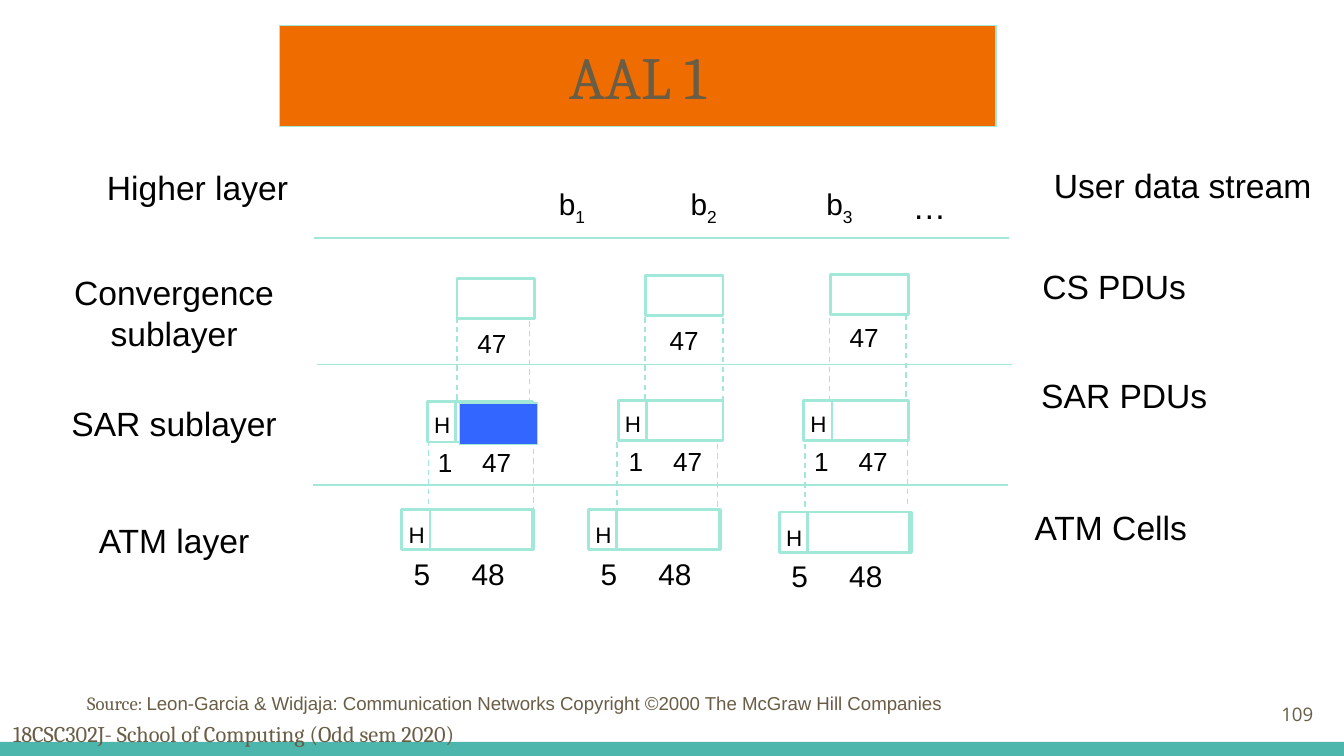
"""Build the AAL 1 slide: how user data passes through the ATM adaptation layers."""
from lxml import etree
from pptx import Presentation
from pptx.dml.color import RGBColor
from pptx.enum.dml import MSO_LINE
from pptx.enum.shapes import MSO_CONNECTOR, MSO_SHAPE
from pptx.enum.text import MSO_ANCHOR, MSO_AUTO_SIZE, PP_ALIGN
from pptx.oxml.ns import qn
from pptx.util import Pt

SCALE = 9144
WIDTH = 1000
LEFT, CENTER, RIGHT = PP_ALIGN.LEFT, PP_ALIGN.CENTER, PP_ALIGN.RIGHT
TOP, MIDDLE = MSO_ANCHOR.TOP, MSO_ANCHOR.MIDDLE
RECTANGLE, STRAIGHT, DASH = MSO_SHAPE.RECTANGLE, MSO_CONNECTOR.STRAIGHT, MSO_LINE.DASH
NO_FIT = MSO_AUTO_SIZE.NONE
COLORS = {
    "ink": "000000", "brown": "695D46", "mint": "A1E8D9",
    "orange": "EF6C00", "blue": "3366FF", "teal": "4DB6AC",
}


class Slide:
    """Holds the style and the current page, and draws each kind of element."""

    def __init__(self, deck):
        self.page = deck.slides.add_slide(deck.slide_layouts[5])
        self.shapes = self.page.shapes

    def color(self, name):
        return RGBColor.from_string(COLORS[name])

    def px(self, *lengths):
        return [length * SCALE for length in lengths]

    def outline(self, shape, width):
        shape.line.color.rgb = self.color("mint")
        shape.line.width = Pt(width)

    def paint(self, shape, fill):
        shape.fill.solid()
        shape.fill.fore_color.rgb = self.color(fill)

    def span(self, para, text, size, font="Arial", color="ink", base=0):
        span = para.add_run()
        span.text = text
        span.font.size = Pt(size)
        span.font.name = font
        span.font.color.rgb = self.color(color)
        if base:
            span.font._element.set("baseline", str(base))

    def title(self, text, place):
        box = self.shapes.title
        box.left, box.top, box.width, box.height = self.px(*place)
        self.paint(box, "orange")
        self.outline(box, 0.75)
        frame = box.text_frame
        frame.auto_size, frame.word_wrap = NO_FIT, False
        frame.vertical_anchor = MIDDLE
        para = frame.paragraphs[0]
        para.alignment = CENTER
        self.span(para, text, 32, "Cambria", "brown")

    def box(self, place, align=CENTER, anchor=MIDDLE, wrap=False, tabs=()):
        frame = self.shapes.add_textbox(*self.px(*place)).text_frame
        frame.auto_size, frame.word_wrap = NO_FIT, wrap
        frame.vertical_anchor = anchor
        para = frame.paragraphs[0]
        para.alignment = align
        if tabs:
            stops = etree.SubElement(para._p.get_or_add_pPr(), qn("a:tabLst"))
            for tab in tabs:
                etree.SubElement(stops, qn("a:tab"), pos=str(tab * SCALE), algn="l")
        return para

    def label(self, text, place, size, **layout):
        self.span(self.box(place, **layout), text, size)

    def rectangle(self, place, fill=None, width=1.5):
        shape = self.shapes.add_shape(RECTANGLE, *self.px(*place))
        shape.shadow.inherit = False
        if fill:
            self.paint(shape, fill)
        else:
            shape.fill.background()
        if width:
            self.outline(shape, width)
        else:
            shape.line.fill.background()

    def line(self, x1, y1, x2, y2, width=0.75, dash=None):
        line = self.shapes.add_connector(STRAIGHT, *self.px(x1, y1, x2, y2))
        self.outline(line, width)
        line.line.dash_style = dash
        etree.SubElement(line._element.spPr, qn("a:effectLst"))

    def cs_pdu(self, x, y, text_x, text_y):
        self.rectangle((x, y, 58, 30))
        self.label("47", (text_x, text_y, 42, 34), 14)

    def sar_pdu(self, x, y):
        self.rectangle((x, y, 78, 30))
        self.line(x + 21, y, x + 21, y + 30, 1.5)
        self.label("H", (x - 5, y + 2, 32, 30), 12)
        self.label("1\t47", (x - 2, y + 28, 74, 34), 14, align=LEFT, tabs=[33])

    def atm_cell(self, x, y):
        self.rectangle((x + 21, y, 76, 30))
        self.rectangle((x, y, 98, 30))
        self.label("H", (x - 5, y + 4, 32, 30), 12)
        self.label("5\t48", (x - 1, y + 29, 89, 37), 16, align=LEFT, tabs=[43])


def main():
    deck = Presentation()
    deck.slide_width = WIDTH * SCALE
    deck.slide_height = WIDTH * SCALE * 9 // 16
    slide = Slide(deck)

    slide.rectangle((0, 552, WIDTH, 11), "teal", 0)
    course = slide.box((0, 531, 575, 30), LEFT, TOP, True)
    slide.span(course, "18CSC302J- School of Computing (Odd sem 2020)", 12, "Cambria", "brown")
    number = slide.box((927, 510, 60, 43), RIGHT)
    slide.span(number, "109", 10, "Open Sans", "brown")
    slide.title("AAL 1", (208, 19, 533, 75))

    for text, x, y, width, height in [
        ("Higher layer", 69, 119, 156, 40),
        ("Convergence sublayer", 22, 197, 215, 71),
        ("SAR sublayer", 22, 295, 215, 40),
        ("ATM layer", 22, 382, 215, 40),
        ("User data stream", 773, 118, 214, 40),
        ("CS PDUs", 765, 193, 128, 40),
        ("SAR PDUs", 764, 274, 145, 40),
        ("ATM Cells", 758, 372, 137, 40),
        ("…", 665, 133, 53, 40),
    ]:
        slide.label(text, (x, y, width, height), 18, wrap=width == 215)

    stream = slide.box((406, 135, 250, 37), LEFT, tabs=[98, 199])
    for index in (1, 2, 3):
        slide.span(stream, "b" if index == 1 else "\tb", 16)
        slide.span(stream, str(index), 16, base=-25000)

    for x, y in [(234, 177), (236, 271), (233, 361)]:
        slide.line(x, y, x + 517, y)

    for pdu in [(340, 207, 345, 238), (480, 205, 488, 236), (618, 204, 622, 234)]:
        slide.cs_pdu(*pdu)
    for x, y in [(318, 299), (460, 298), (598, 298)]:
        slide.sar_pdu(x, y)
    for x, y in [(299, 379), (438, 379), (580, 381)]:
        slide.atm_cell(x, y)

    cs_to_sar = [(340, 236), (394, 239), (480, 236), (538, 237), (617, 237), (674, 234)]
    sar_to_atm = [(319, 328), (397, 334), (459, 329), (534, 330), (599, 330), (675, 328)]
    for starts, length in [(cs_to_sar, 64), (sar_to_atm, 50)]:
        for x, y in starts:
            slide.line(x, y, x, y + length, dash=DASH)
    slide.rectangle((342, 300, 58, 31), "blue", 0.75)

    source = slide.box((55, 510, 887, 44), LEFT, TOP, True)
    slide.span(source, "Source: ", 10, "Cambria", "brown")
    slide.span(source, "Leon-Garcia & Widjaja: Communication Networks "
               "Copyright ©2000 The McGraw Hill Companies", 10, "Arial", "brown")
    deck.save("out.pptx")


if __name__ == "__main__":
    main()
